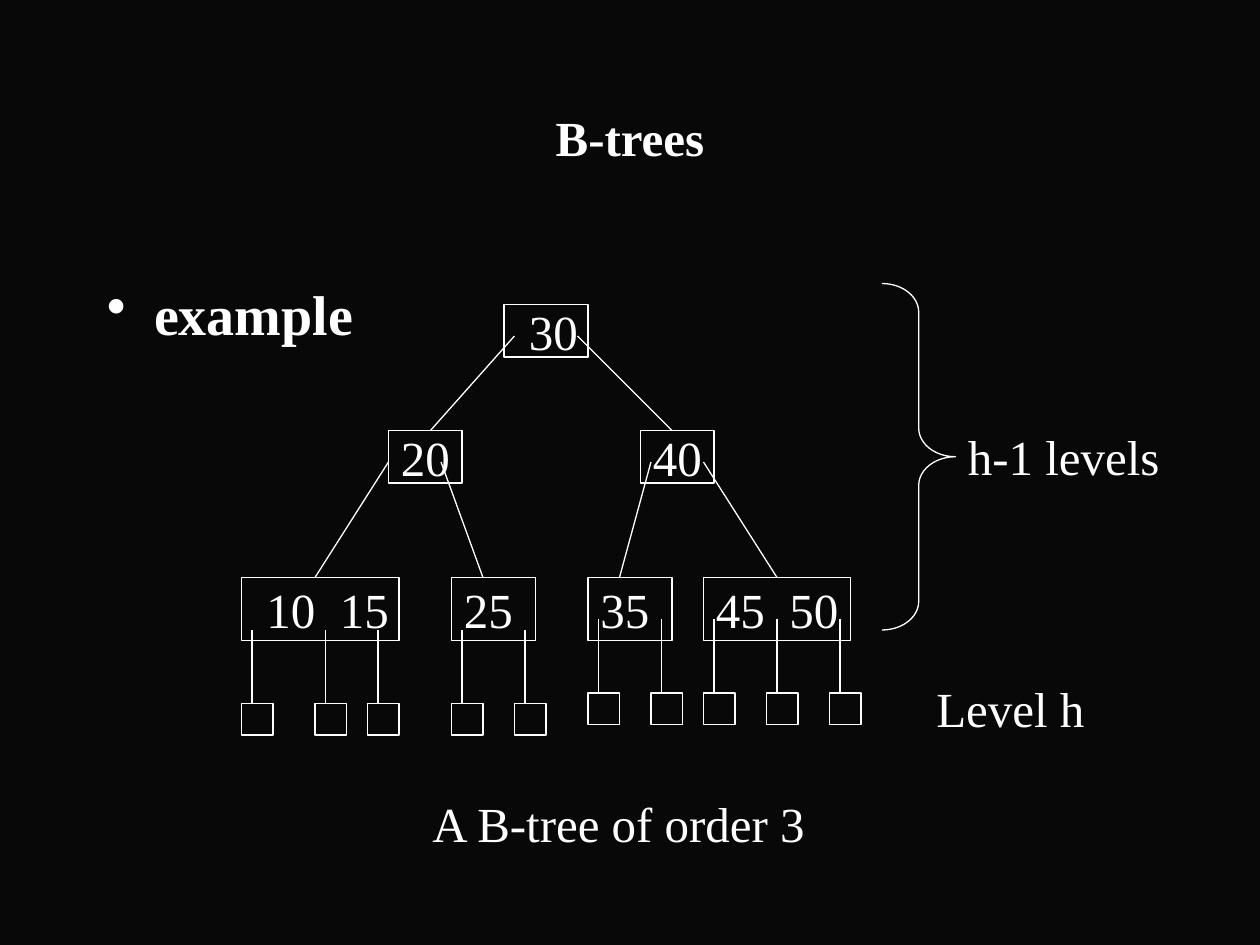
from dataclasses import dataclass
from typing import NamedTuple

import pptx
import pptx.dml.color
import pptx.enum.shapes
import pptx.enum.text
import pptx.oxml
import pptx.oxml.ns
import pptx.util
from lxml import etree

Pt = pptx.util.Pt
SHAPE = pptx.enum.shapes.MSO_SHAPE
ALIGN = pptx.enum.text.PP_ALIGN
ANCHOR = pptx.enum.text.MSO_ANCHOR


@dataclass(frozen=True)
class Theme:
    background: pptx.dml.color.RGBColor = pptx.dml.color.RGBColor(0x08, 0x08, 0x08)
    ink: pptx.dml.color.RGBColor = pptx.dml.color.RGBColor(0xFF, 0xFF, 0xFF)
    font: str = "Times New Roman"
    body_size: float = 28
    bullet_size: float = 32
    line_width: float = 0.75


class Box(NamedTuple):
    left: float
    top: float
    width: float
    height: float

    def in_points(self) -> list:
        return [Pt(length) for length in self]


class Node(NamedTuple):
    text: str
    box: Box
    indent: float = 7.2


class Edge(NamedTuple):
    child: str
    start: tuple
    end: tuple


class LeafRow(NamedTuple):
    top: float
    lefts: tuple


THEME = Theme()
LEAF_SIZE = 18
STUB_INSET = 6
STUB_LENGTH = 42
KEY_TAB = 42
BULLET_INDENT = 27

# Tree contents, level by level
NODES = [
    Node("30", Box(288, 174, 48, 30), indent=14.2),
    Node("20", Box(222, 246, 42, 30)),
    Node("40", Box(366, 246, 42, 30)),
    Node("10\t15", Box(138, 330, 90, 36), indent=14.2),
    Node("25", Box(258, 330, 48, 36)),
    Node("35", Box(336, 330, 48, 36)),
    Node("45\t50", Box(402, 330, 84, 36)),
]
EDGES = [
    Edge("20", (294, 192), (246, 246)),
    Edge("40", (330, 192), (384, 246)),
    Edge("10\t15", (222, 264), (180, 330)),
    Edge("25", (252, 264), (276, 330)),
    Edge("35", (372, 264), (354, 330)),
    Edge("45\t50", (402, 264), (444, 330)),
]
LEAF_ROWS = [
    LeafRow(402, (138, 180, 210, 258, 294)),
    LeafRow(396, (336, 372, 402, 438, 474)),
]
LABELS = [
    ("h-1 levels", Box(546, 240, 150, 41)),
    ("Level h", Box(528, 384, 138, 41)),
    ("A B-tree of order 3", Box(240, 450, 264, 41)),
]


def write_text(shape, text: str, *, size: float = THEME.body_size, bold: bool = False,
               align=ALIGN.LEFT, anchor=ANCHOR.TOP, wrap: bool = True,
               indent: float = 7.2, right: float = 7.2,
               bullet: str = "", tab: float = 0) -> None:
    frame = shape.text_frame
    frame.word_wrap = wrap
    frame.vertical_anchor = anchor
    frame.margin_left, frame.margin_right = Pt(indent), Pt(right)
    para = frame.paragraphs[0]
    para.alignment = align
    properties = para._p.get_or_add_pPr()
    if bullet:
        properties.set("marL", str(Pt(BULLET_INDENT)))
        properties.set("indent", str(-Pt(BULLET_INDENT)))
        mark = etree.SubElement(properties, pptx.oxml.ns.qn("a:buChar"))
        mark.set("char", bullet)
    if tab:
        stops = etree.SubElement(properties, pptx.oxml.ns.qn("a:tabLst"))
        stop = etree.SubElement(stops, pptx.oxml.ns.qn("a:tab"))
        stop.set("pos", str(Pt(tab)))
        stop.set("algn", "l")
    span = para.add_run()
    span.text = text
    span.font.name = THEME.font
    span.font.size = Pt(size)
    span.font.bold = bold
    span.font.color.rgb = THEME.ink


def add_text(page, text: str, box: Box, **text_format) -> None:
    write_text(page.shapes.add_textbox(*box.in_points()), text, **text_format)


def add_outline(shapes, kind, box: Box):
    shape = shapes.add_shape(kind, *box.in_points())
    shape.shadow.inherit = False
    shape.fill.background()
    shape.line.color.rgb = THEME.ink
    shape.line.width = Pt(THEME.line_width)
    return shape


def add_line(shapes, start: tuple, end: tuple):
    line = shapes.add_connector(pptx.enum.shapes.MSO_CONNECTOR.STRAIGHT,
                                *[Pt(length) for length in (*start, *end)])
    line.line.color.rgb = THEME.ink
    line.line.width = Pt(THEME.line_width)
    etree.SubElement(line._element.spPr, pptx.oxml.ns.qn("a:effectLst"))
    return line


def add_node(page, node: Node):
    shape = add_outline(page.shapes, SHAPE.RECTANGLE, node.box)
    write_text(shape, node.text, anchor=ANCHOR.MIDDLE, wrap=False, indent=node.indent,
               right=0, tab=KEY_TAB if "\t" in node.text else 0)
    return shape


def add_leaf(page, left: float, top: float) -> None:
    group = page.shapes.add_group_shape()
    add_outline(group.shapes, SHAPE.RECTANGLE, Box(left, top, LEAF_SIZE, LEAF_SIZE))
    stub = left + STUB_INSET
    add_line(group.shapes, (stub, top - STUB_LENGTH), (stub, top))


def add_edge(page, edge: Edge, child) -> None:
    line = add_line(page.shapes, edge.start, edge.end)
    top_middle = (child.left + child.width // 2, child.top)
    if top_middle == tuple(Pt(length) for length in edge.end):
        line.end_connect(child, 0)


def main() -> None:
    deck = pptx.Presentation()
    deck.slide_width, deck.slide_height = Pt(720), Pt(540)
    page = deck.slides.add_slide(deck.slide_layouts[6])
    page.background.fill.solid()
    page.background.fill.fore_color.rgb = THEME.background

    # Heading and bullet
    add_text(page, "B-trees", Box(54, 48, 612, 60), bold=True,
             align=ALIGN.CENTER, anchor=ANCHOR.MIDDLE)
    add_text(page, "example", Box(54, 156, 612, 324), size=THEME.bullet_size,
             bold=True, bullet="•")

    # Tree
    shapes = {node.text: add_node(page, node) for node in NODES}
    for row in LEAF_ROWS:
        for left in row.lefts:
            add_leaf(page, left, row.top)
    for edge in EDGES:
        add_edge(page, edge, shapes[edge.child])

    # Brace and labels
    brace = add_outline(page.shapes, SHAPE.RIGHT_BRACE, Box(504, 162, 42, 198))
    brace.adjustments[0] = 0.39
    for text, box in LABELS:
        add_text(page, text, box)

    deck.save("out.pptx")


if __name__ == "__main__":
    main()
